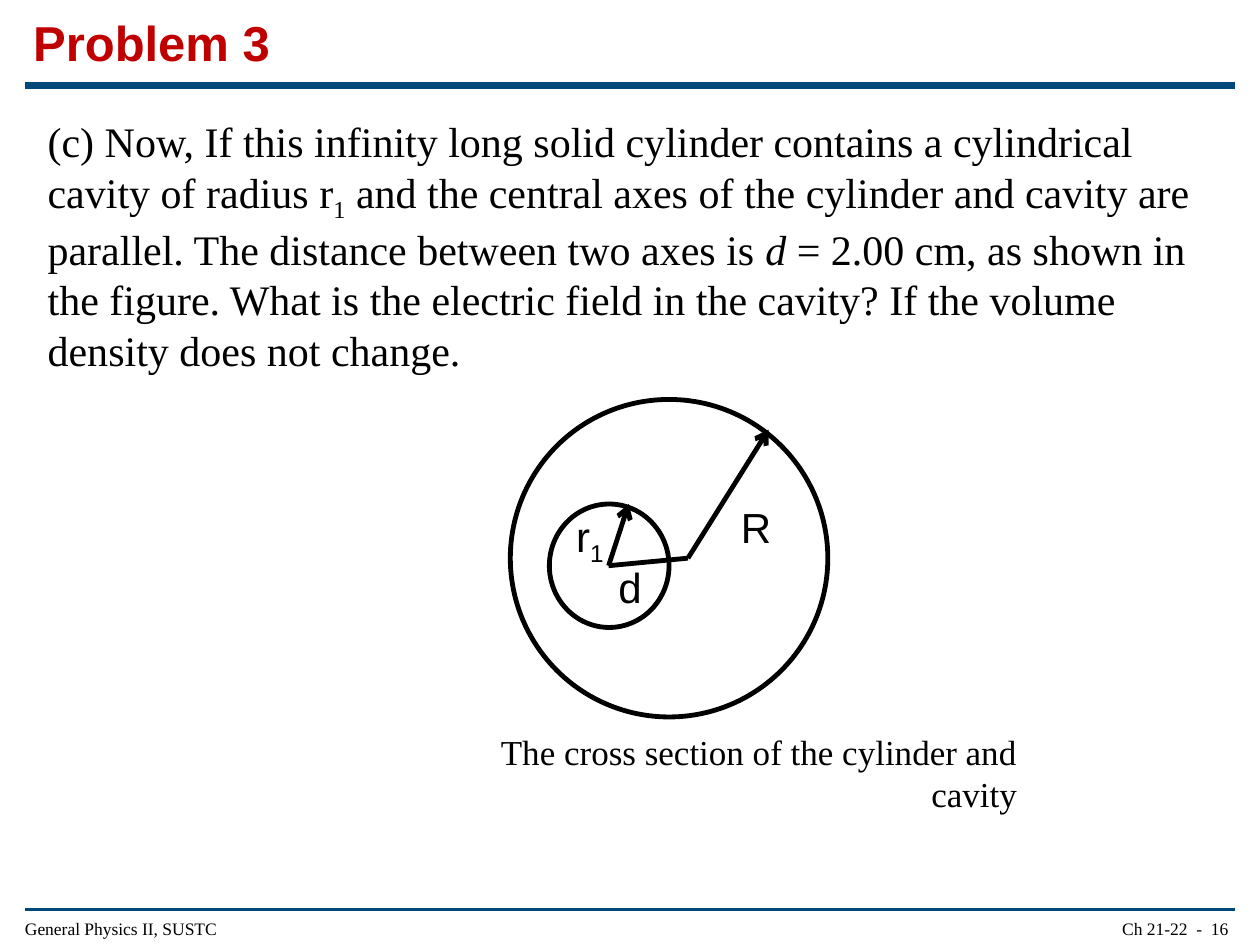
from lxml.etree import SubElement
from pptx import Presentation
from pptx.dml.color import RGBColor
from pptx.enum.shapes import MSO_CONNECTOR, MSO_SHAPE
from pptx.enum.text import MSO_ANCHOR, MSO_AUTO_SIZE, PP_ALIGN
from pptx.oxml.ns import qn
from pptx.util import Inches, Pt

COLORS = {"ink": "000000", "rule": "00487A", "title": "C00000"}
SERIF, SANS = "Times New Roman", "Arial"
COLUMNS, ROWS = 100, 75
SLIDE_WIDTH, SLIDE_HEIGHT = Inches(10), Inches(7.5)


def grid(column, row):
    """Turn grid columns and rows into slide lengths."""
    return round(SLIDE_WIDTH * column / COLUMNS), round(SLIDE_HEIGHT * row / ROWS)


def add_text(slide, place, size, runs, font=SERIF, color="ink", bold=None, wrap=False):
    """Add a text box of (text, style) runs and return its text frame."""
    column, row, columns, rows = place
    frame = slide.shapes.add_textbox(*grid(column, row), *grid(columns, rows)).text_frame
    frame.word_wrap = wrap
    frame.auto_size = MSO_AUTO_SIZE.SHAPE_TO_FIT_TEXT
    paragraph = frame.paragraphs[0]
    paragraph.alignment = PP_ALIGN.LEFT if wrap else PP_ALIGN.RIGHT
    for text, style in runs:
        run = paragraph.add_run()
        run.text = text
        run.font.name, run.font.size, run.font.bold = font, Pt(size), bold
        run.font.color.rgb = RGBColor.from_string(COLORS[color])
        if style == "italic":
            run.font.italic = True
        elif style == "sub":
            run.font._element.set("baseline", "-25000")
    return frame


def add_footer(slide, course, page):
    """Add the course on the left and the page on a right tab."""
    frame = add_text(slide, (1, 72.3, 98, 2.7), 10, [(f"{course}\t{page}", None)], wrap=True)
    frame.vertical_anchor = MSO_ANCHOR.BOTTOM
    tabs = SubElement(frame.paragraphs[0]._p.get_or_add_pPr(), qn("a:tabLst"))
    SubElement(tabs, qn("a:tab"), pos=str(grid(95.5, 0)[0]), algn="r")


def add_line(slide, start, end, color="ink", width=2.75, arrow=False):
    """Draw a straight line, with an arrowhead at its end if asked."""
    connector = slide.shapes.add_connector(MSO_CONNECTOR.STRAIGHT, *grid(*start), *grid(*end))
    connector.line.color.rgb = RGBColor.from_string(COLORS[color])
    connector.line.width = Pt(width)
    if arrow:
        SubElement(connector.line._get_or_add_ln(), qn("a:tailEnd"), type="arrow")
    SubElement(connector._element.spPr, qn("a:effectLst"))


def add_circle(slide, column, row, columns, rows):
    """Draw an unfilled outline of a cross section."""
    circle = slide.shapes.add_shape(MSO_SHAPE.OVAL, *grid(column, row), *grid(columns, rows))
    circle.shadow.inherit = False
    circle.fill.background()
    circle.line.color.rgb = RGBColor.from_string(COLORS["ink"])
    circle.line.width = Pt(2.75)


def add_cross_section(slide):
    """Draw the cylinder, its cavity, the radii and the axis distance."""
    cylinder_axis, cavity_axis = (54.6, 44.3), (48.3, 44.9)
    add_circle(slide, 40.5, 31.7, 25.2, 25.2)
    add_circle(slide, 43.6, 40, 9.5, 9.8)
    add_line(slide, cavity_axis, (49.9, 40), arrow=True)
    add_line(slide, cylinder_axis, (61, 34.1), arrow=True)
    add_line(slide, cavity_axis, cylinder_axis)
    for place, runs in (
        ((48.1, 44.1, 3.8, 5), [("d", None)]),
        ((44.7, 40, 4.2, 5.6), [("r", None), ("1", "sub")]),
        ((57.8, 39.3, 4.4, 5), [("R", None)]),
    ):
        add_text(slide, place, 24, runs, font=SANS)
    add_text(slide, (31.3, 57.5, 50.4, 4.4), 20,
             [("The cross section of the cylinder and cavity", None)])


def main():
    """Build the problem slide and save it."""
    deck = Presentation()
    deck.slide_width, deck.slide_height = SLIDE_WIDTH, SLIDE_HEIGHT
    slide = deck.slides.add_slide(deck.slide_layouts[6])
    add_footer(slide, "General Physics II, SUSTC", "Ch 21-22  -  16")
    for row, width in ((72.2, 2), (6.8, 4)):
        add_line(slide, (2, row), (98, row), "rule", width)
    add_text(slide, (1.6, 0.5, 20.8, 5.7), 28, [("Problem 3", None)], SANS, "title", bold=True)
    add_text(slide, (2.8, 8.7, 94.4, 21.6), 24, [
        ("(c) Now, If this infinity long solid cylinder contains a cylindrical "
         "cavity of radius r", None),
        ("1", "sub"),
        (" and the central axes of the cylinder and cavity are parallel. "
         "The distance between two axes is ", None),
        ("d ", "italic"),
        ("= 2.00 cm, as shown in the figure. What is the electric field in the cavity? "
         "If the volume density does not change.", None),
    ], wrap=True)
    add_cross_section(slide)
    deck.save("out.pptx")


if __name__ == "__main__":
    main()
